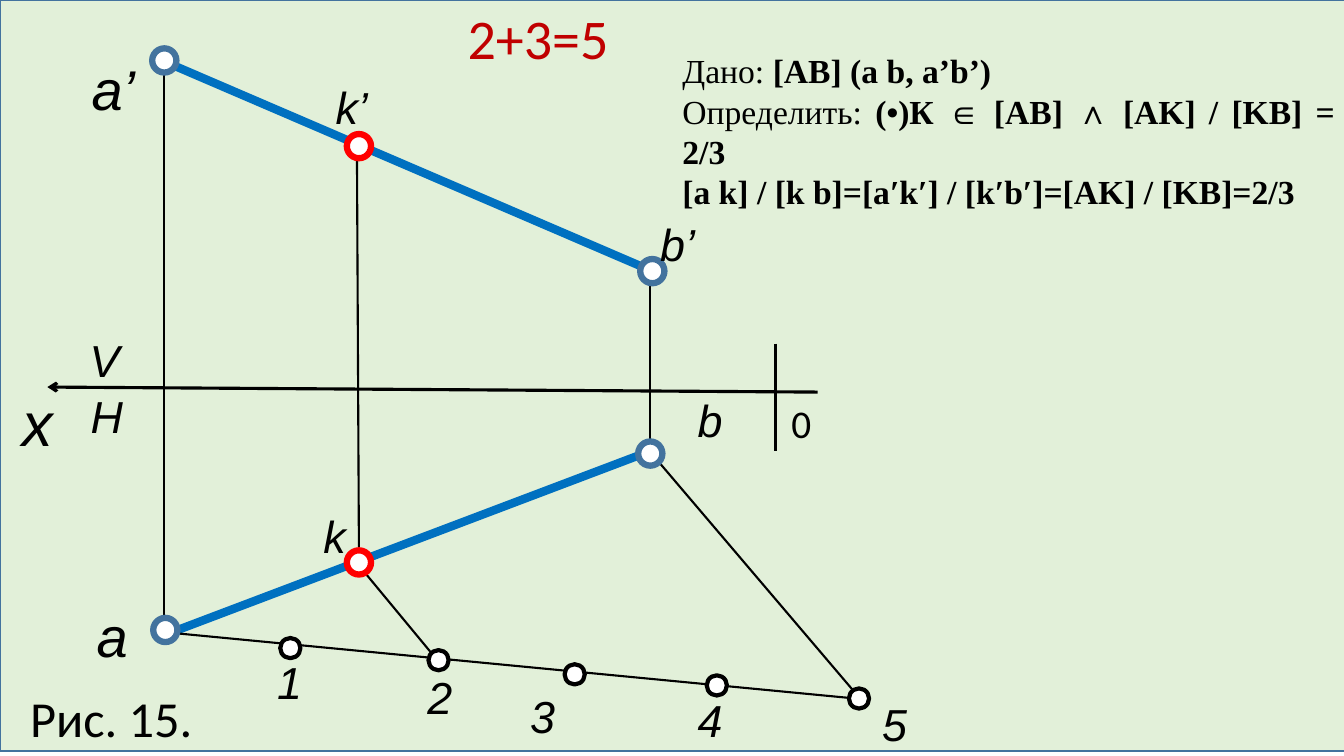
from dataclasses import dataclass

from lxml import etree
from pptx import Presentation
from pptx.dml.color import RGBColor
from pptx.enum import shapes, text
from pptx.oxml.ns import qn
from pptx.util import Inches, Pt


@dataclass(frozen=True)
class Theme:
    background: str = "E2F0D9"
    steel: str = "43739E"
    segment: str = "0070C0"
    ratio: str = "C00000"
    divider: str = "FF0000"
    ink: str = "000000"
    white: str = "FFFFFF"
    drawing_font: str = "Arial"
    caption_font: str = "Calibri"
    task_font: str = "Times New Roman"
    axis_size: int = 44
    large: int = 40
    caption: int = 36
    label: int = 32
    origin_size: int = 28
    task_size: int = 24
    thin: float = 1.5
    axis_line: float = 2.25
    thick: float = 6


THEME = Theme()

# Each paragraph is a list of (words, bold)
TASK = [
    [("Дано: ", False), ("[AB] (a b, a’b’)", True)],
    [("Определить: ", False), ("(•)К ∈ [AB] ∧ [AK] / [KB] = 2/3", True)],
    [("[a k] / [k b]=[a′k′] / [k′b′]=[AK] / [KB]=2/3", True)],
]

# Letters of the drawing: words, left, top, width, height, size
LETTERS = [
    ("a’", 0.81, 0.49, 0.66, 0.77, THEME.large),
    ("a", 0.86, 5.92, 0.5, 0.77, THEME.large),
    ("b’", 6.45, 2.1, 0.67, 0.64, THEME.label),
    ("b", 6.82, 3.85, 0.5, 0.64, THEME.label),
    ("k’", 3.23, 0.74, 0.69, 0.64, THEME.label),
    ("k", 3.11, 5.0, 0.5, 0.64, THEME.label),
    ("x", 0.12, 3.77, 1.03, 0.84, THEME.axis_size),
    ("V", 0.79, 3.25, 0.89, 0.64, THEME.label),
    ("H", 0.8, 3.81, 0.89, 0.64, THEME.label),
]
DIVISION_LABELS = [(2.65, 6.45), (4.14, 6.59), (5.16, 6.78), (6.82, 6.82), (8.65, 6.86)]

# Centres of the point markers
END_POINTS = [(1.63, 0.6), (1.64, 6.25), (6.47, 2.69), (6.45, 4.5)]
DIVIDING_POINTS = [(3.56, 1.45), (3.56, 5.58)]
DIVISIONS = [(2.88, 6.43), (4.35, 6.55), (5.7, 6.69), (7.11, 6.8), (8.52, 6.93)]

PROJECTIONS = [((6.54, 2.72), (1.63, 0.61)), ((6.49, 4.46), (1.63, 6.3))]
AXIS = ((0.47, 3.84), (8.11, 3.89))
ORIGIN_TICK = ((7.69, 3.41), (7.69, 4.47))
CONSTRUCTION = [
    ((8.59, 6.94), (1.72, 6.28)),
    ((6.48, 4.52), (8.53, 6.93)),
    ((4.28, 6.48), (3.56, 5.61)),
    ((6.45, 2.69), (6.45, 4.5)),
    ((1.63, 0.49), (1.63, 6.28)),
    ((3.54, 1.43), (3.56, 5.46)),
]

prs = Presentation()
prs.slide_width, prs.slide_height = Inches(13.33), Inches(7.5)
slide = prs.slides.add_slide(prs.slide_layouts[6])


def add_outlined(preset, box, fill, outline, weight):
    shape = slide.shapes.add_shape(preset, *map(Inches, box))
    shape.shadow.inherit = False
    shape.fill.solid()
    shape.fill.fore_color.rgb = RGBColor.from_string(fill)
    shape.line.color.rgb = RGBColor.from_string(outline)
    shape.line.width = Pt(weight)


def add_marker(centre, diameter, outline, weight):
    x, y = centre
    box = (x - diameter / 2, y - diameter / 2, diameter, diameter)
    add_outlined(shapes.MSO_SHAPE.OVAL, box, THEME.white, outline, weight)


def add_line(ends, weight, color=THEME.ink, arrow=False):
    """Draw a straight line; arrow puts an open head at its start."""
    start, end = ends
    line = slide.shapes.add_connector(
        shapes.MSO_CONNECTOR.STRAIGHT, *map(Inches, (*start, *end)))
    line.line.color.rgb = RGBColor.from_string(color)
    line.line.width = Pt(weight)
    properties = line._element.spPr
    if arrow:
        etree.SubElement(properties.find(qn("a:ln")), qn("a:headEnd"), type="arrow")
    etree.SubElement(properties, qn("a:effectLst"))


def add_text(paragraphs, box, size, font=THEME.drawing_font, color=THEME.ink,
             italic=False, align=None, wrap=True):
    """Place paragraphs, each a list of (words, bold) runs, in a text box."""
    frame = slide.shapes.add_textbox(*map(Inches, box)).text_frame
    frame.word_wrap = wrap
    frame.auto_size = text.MSO_AUTO_SIZE.SHAPE_TO_FIT_TEXT
    for index, runs in enumerate(paragraphs):
        paragraph = frame.add_paragraph() if index else frame.paragraphs[0]
        paragraph.alignment = align
        for words, bold in runs:
            run = paragraph.add_run()
            run.text = words
            run.font.name, run.font.size = font, Pt(size)
            run.font.bold, run.font.italic = bold, italic
            run.font.color.rgb = RGBColor.from_string(color)


add_outlined(shapes.MSO_SHAPE.RECTANGLE, (0, 0, 13.46, 7.45),
             THEME.background, THEME.steel, 1)

for projection in PROJECTIONS:
    add_line(projection, THEME.thick, THEME.segment)
add_line(AXIS, THEME.axis_line, arrow=True)
add_line(ORIGIN_TICK, THEME.axis_line)
for construction_line in CONSTRUCTION:
    add_line(construction_line, THEME.thin)

for centres, diameter, outline, weight in [
    (DIVISIONS, 0.2, THEME.ink, 3),
    (DIVIDING_POINTS, 0.24, THEME.divider, 4.5),
    (END_POINTS, 0.24, THEME.steel, 4.5),
]:
    for centre in centres:
        add_marker(centre, diameter, outline, weight)

for letter, *box, size in LETTERS:
    add_text([[(letter, False)]], box, size, italic=True)
for number, corner in enumerate(DIVISION_LABELS, start=1):
    add_text([[(str(number), False)]], (*corner, 0.5, 0.64), THEME.label, italic=True)

add_text([[("0", False)]], (7.75, 3.91, 0.89, 0.57), THEME.origin_size,
         font=THEME.caption_font)
add_text([[("Рис. 15.", False)]], (0.2, 6.77, 1.83, 0.71), THEME.caption,
         font=THEME.caption_font, wrap=False)
add_text([[("2+3=5", False)]], (4.54, -0.01, 2.47, 0.77), THEME.large,
         font=THEME.caption_font, color=THEME.ratio)
add_text(TASK, (6.67, 0.45, 6.67, 1.31), THEME.task_size, font=THEME.task_font,
         align=text.PP_ALIGN.JUSTIFY)

prs.save("out.pptx")
